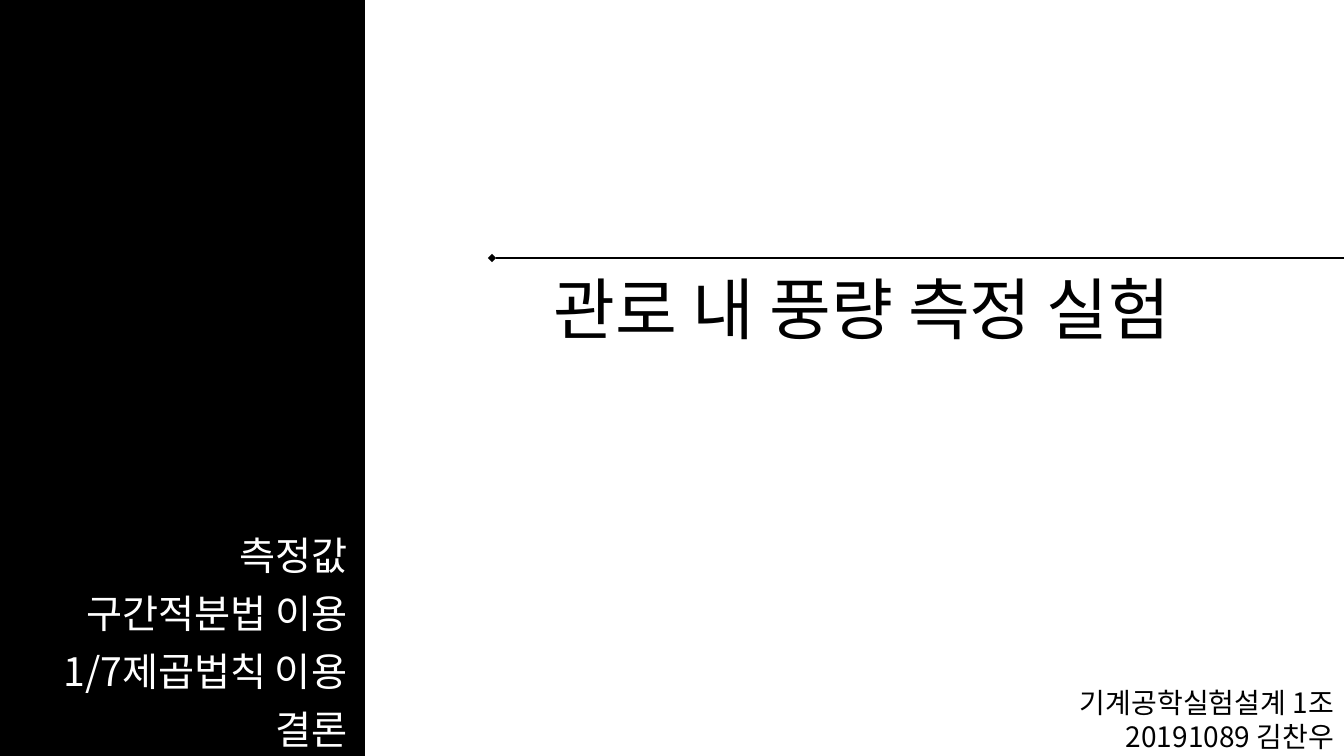
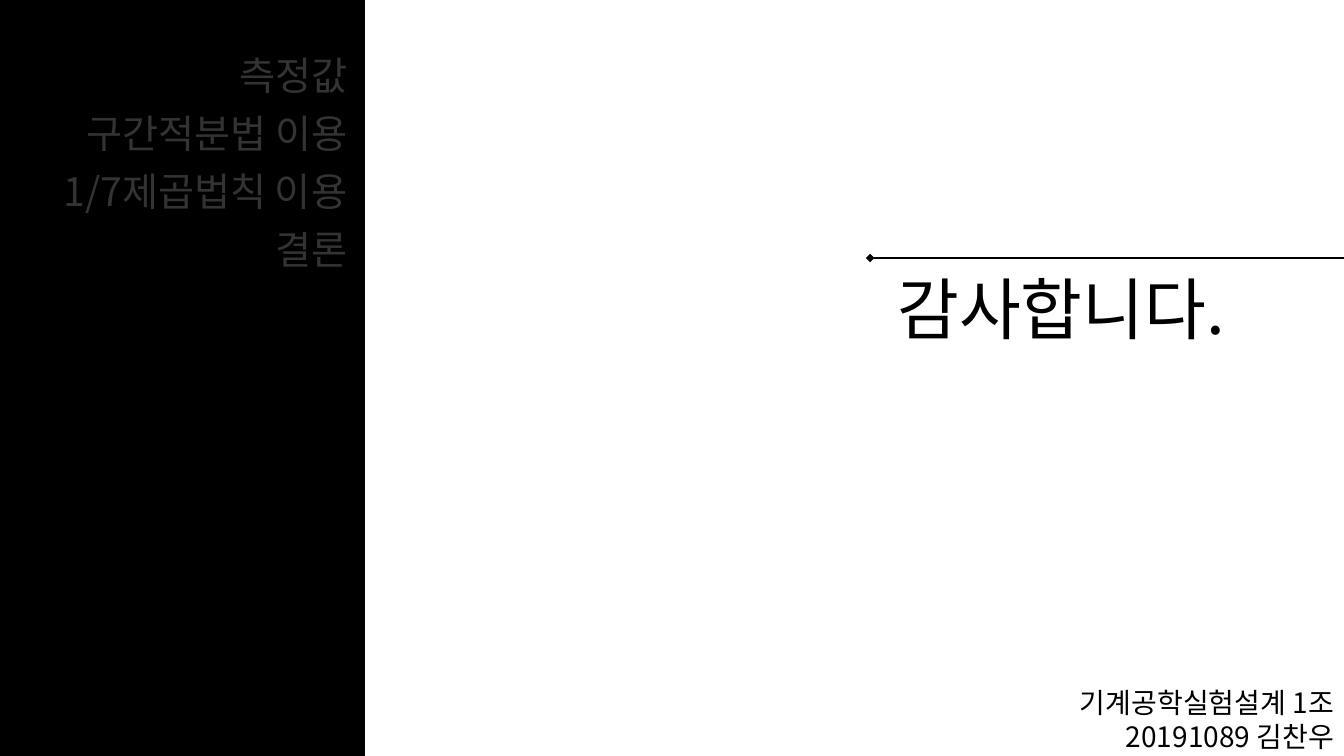
from lxml import etree
from pptx import Presentation
from pptx.dml.color import RGBColor
from pptx.enum.shapes import MSO_CONNECTOR, MSO_SHAPE
from pptx.enum.text import PP_ALIGN
from pptx.oxml.ns import qn
from pptx.util import Inches, Pt

RIGHT = PP_ALIGN.RIGHT
RECTANGLE = MSO_SHAPE.RECTANGLE
STRAIGHT = MSO_CONNECTOR.STRAIGHT

MENU = ["측정값", "구간적분법 이용", "1/7제곱법칙 이용", "결론"]
FOOTER = ["기계공학실험설계 1조", "20191089 김찬우"]
SLIDES = [
    {"title": "관로 내 풍량 측정 실험", "rule_left": 4.88, "title_right": 11.71,
     "menu_top": 5.19, "menu_opacity": 100},
    {"title": "감사합니다.", "rule_left": 8.63, "title_right": 12.25,
     "menu_top": 0.43, "menu_opacity": 20},
]

WIDTH, HEIGHT = 13.33, 7.5
BAND_WIDTH = 3.62
MENU_LEFT, MENU_WIDTH, MENU_PITCH = 0.22, 3.32, 0.576
RULE_TOP = 2.56
TEXT_WIDTH, TITLE_HEIGHT, FOOTER_HEIGHT = 6.83, 0.91, 0.77
FONT = "Noto Sans CJK KR"
LEADING = 1.21
BLACK, WHITE = "000000", "FFFFFF"


def color(value):
    return RGBColor.from_string(value)


def add_text(slide, lines, left, top, width, height, size, ink, opacity=100):
    frame = slide.shapes.add_textbox(*map(Inches, (left, top, width, height))).text_frame
    frame.word_wrap = True
    frame.margin_top = Inches(0.05) + Pt(size * 0.06)
    for index, line in enumerate(lines):
        paragraph = frame.paragraphs[0] if index == 0 else frame.add_paragraph()
        paragraph.alignment = RIGHT
        paragraph.line_spacing = Pt(size * LEADING)
        run = paragraph.add_run()
        run.text = line
        for name, value in {"name": FONT, "size": Pt(size)}.items():
            setattr(run.font, name, value)
        run.font.color.rgb = color(ink)
        properties = run.font._element
        etree.SubElement(properties, qn("a:ea"), typeface=FONT)
        if opacity < 100:
            tint = properties.find(".//" + qn("a:srgbClr"))
            etree.SubElement(tint, qn("a:alpha"), val=str(opacity * 1000))


def add_band(slide):
    band = slide.shapes.add_shape(RECTANGLE, 0, 0, Inches(BAND_WIDTH), Inches(HEIGHT))
    band.shadow.inherit = False
    band.fill.solid()
    band.fill.fore_color.rgb = color(BLACK)
    band.line.fill.background()


def add_rule(slide, left):
    rule = slide.shapes.add_connector(
        STRAIGHT, *map(Inches, (left, RULE_TOP, WIDTH, RULE_TOP)))
    rule.line.color.rgb = color(BLACK)
    rule.line.width = Pt(1)
    etree.SubElement(rule.line._get_or_add_ln(), qn("a:headEnd"), type="diamond")
    etree.SubElement(rule._element.spPr, qn("a:effectLst"))


def build_slide(deck, content):
    slide = deck.slides.add_slide(deck.slide_layouts[6])
    add_band(slide)
    for row, entry in enumerate(MENU):
        add_text(slide, [entry], MENU_LEFT, content["menu_top"] + row * MENU_PITCH,
                 MENU_WIDTH, MENU_PITCH, 28, WHITE, content["menu_opacity"])
    add_rule(slide, content["rule_left"])
    add_text(slide, [content["title"]], content["title_right"] - TEXT_WIDTH, RULE_TOP,
             TEXT_WIDTH, TITLE_HEIGHT, 48, BLACK)
    add_text(slide, FOOTER, WIDTH - TEXT_WIDTH, HEIGHT - FOOTER_HEIGHT,
             TEXT_WIDTH, FOOTER_HEIGHT, 20, BLACK)


def main():
    deck = Presentation()
    deck.slide_width, deck.slide_height = Inches(WIDTH), Inches(HEIGHT)
    for content in SLIDES:
        build_slide(deck, content)
    deck.save("out.pptx")


if __name__ == "__main__":
    main()
